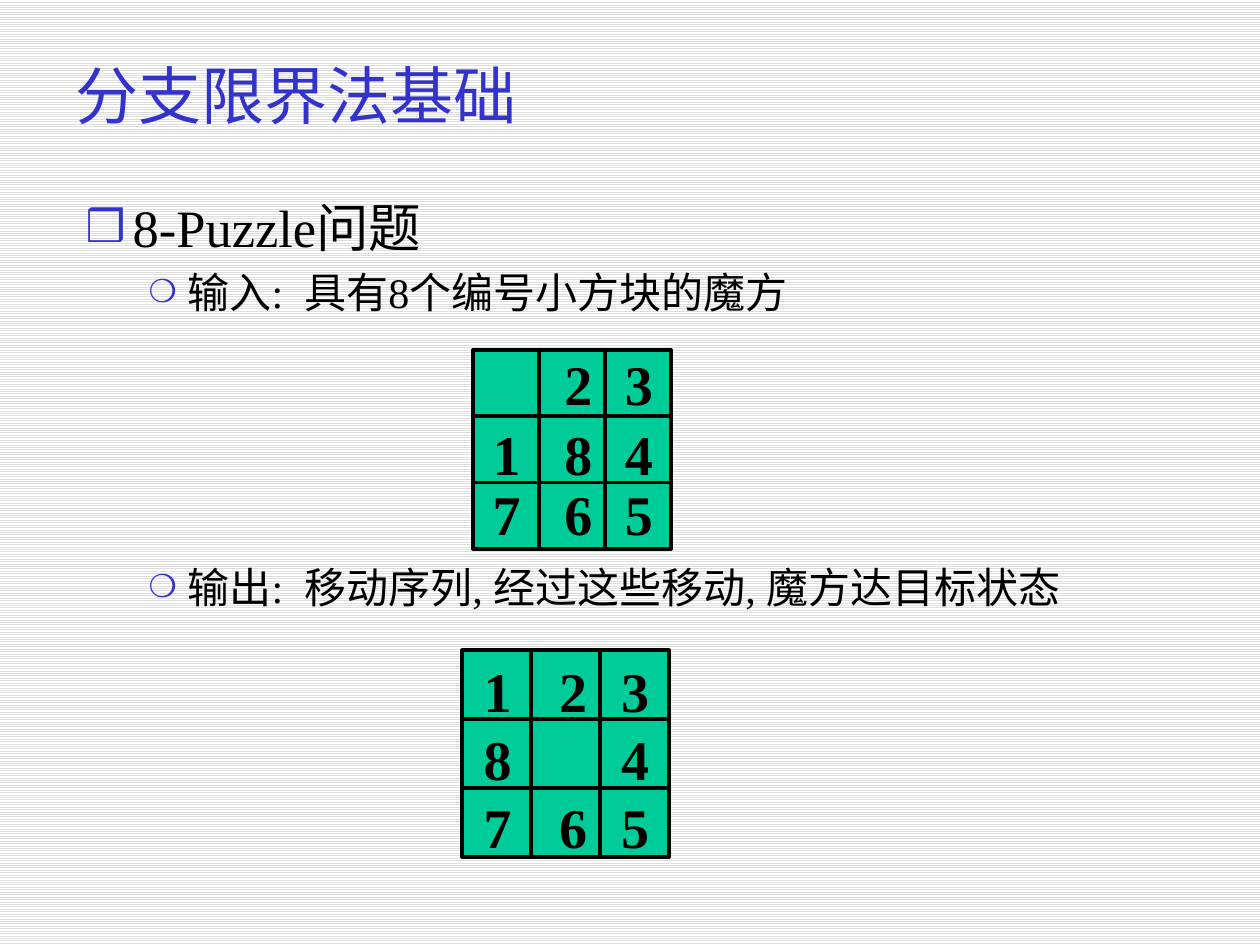
from lxml.etree import SubElement
from pptx import Presentation
from pptx.dml.color import RGBColor
from pptx.enum.dml import MSO_PATTERN
from pptx.enum.shapes import MSO_CONNECTOR, MSO_SHAPE
from pptx.enum.text import MSO_ANCHOR, MSO_AUTO_SIZE, PP_ALIGN
from pptx.oxml.ns import qn
from pptx.util import Cm, Pt

BLUE = RGBColor(0x33, 0x33, 0xCC)
GREEN = RGBColor(0x00, 0xCC, 0x99)
BLACK = RGBColor(0x00, 0x00, 0x00)
WHITE = RGBColor(0xFF, 0xFF, 0xFF)
STRIPE = RGBColor(0xDD, 0xDD, 0xDD)


class PuzzleSlide:
    font_name = "Times New Roman"
    line_width = Pt(2.25)

    def __init__(self, presentation):
        self.slide = presentation.slides.add_slide(presentation.slide_layouts[1])
        fill = self.slide.background.fill
        fill.patterned()
        fill.pattern = MSO_PATTERN.LIGHT_HORIZONTAL
        fill.fore_color.rgb = STRIPE
        fill.back_color.rgb = WHITE

    def place(self, shape, left, top, width, height):
        shape.left, shape.top = Cm(left), Cm(top)
        shape.width, shape.height = Cm(width), Cm(height)
        shape.text_frame.auto_size = MSO_AUTO_SIZE.NONE

    def style(self, paragraph, size, color=BLACK, bold=False):
        for run in paragraph.runs:
            run.font.name = self.font_name
            run.font.size = Pt(size)
            run.font.bold = bold
            run.font.color.rgb = color

    def title(self, text):
        title = self.slide.shapes.title
        self.place(title, 1.27, 0.64, 21.59, 2.54)
        title.text_frame.text = text
        title.text_frame.vertical_anchor = MSO_ANCHOR.MIDDLE
        paragraph = title.text_frame.paragraphs[0]
        paragraph.alignment = PP_ALIGN.LEFT
        self.style(paragraph, 36, BLUE)

    def bullet(self, paragraph, symbol, percent, margin, hanging):
        properties = paragraph._p.get_or_add_pPr()
        properties.set("marL", str(Cm(margin)))
        properties.set("indent", str(-Cm(hanging)))
        color = SubElement(properties, qn("a:buClr"))
        SubElement(color, qn("a:srgbClr"), val=str(BLUE))
        SubElement(properties, qn("a:buSzPct"), val=str(percent * 1000))
        SubElement(properties, qn("a:buChar"), char=symbol)

    def body(self, heading, details):
        body = self.slide.placeholders[1]
        self.place(body, 1.47, 3.81, 21.59, 13.54)
        frame = body.text_frame
        frame.vertical_anchor = MSO_ANCHOR.TOP
        frame.text = heading
        first = frame.paragraphs[0]
        self.bullet(first, "❒", 85, 0.95, 0.95)
        first.space_before = Pt(0)
        self.style(first, 30)
        for text, space in details:
            paragraph = frame.add_paragraph()
            paragraph.text = text
            paragraph.level = 1
            self.bullet(paragraph, "❍", 75, 2.06, 0.79)
            paragraph.space_before = Pt(space)
            self.style(paragraph, 24)

    def line(self, shapes, x1, y1, x2, y2):
        line = shapes.add_connector(
            MSO_CONNECTOR.STRAIGHT, Cm(x1), Cm(y1), Cm(x2), Cm(y2))
        line.line.color.rgb = BLACK
        line.line.width = self.line_width
        SubElement(line._element.spPr, qn("a:effectLst"))

    def digit(self, shapes, text, left, top):
        box = shapes.add_textbox(Cm(left), Cm(top), Cm(1.08), Cm(1.62))
        box.text_frame.word_wrap = False
        box.text_frame.text = text
        self.style(box.text_frame.paragraphs[0], 32, bold=True)

    def puzzle(self, left, top, size, rows, column_offsets, row_offsets):
        shapes = self.slide.shapes.add_group_shape().shapes
        board = shapes.add_shape(
            MSO_SHAPE.RECTANGLE, Cm(left), Cm(top), Cm(size), Cm(size))
        board.shadow.inherit = False
        board.fill.solid()
        board.fill.fore_color.rgb = GREEN
        board.line.color.rgb = BLACK
        board.line.width = self.line_width
        for step in (size / 3, size * 2 / 3):
            self.line(shapes, left, top + step, left + size, top + step)
            self.line(shapes, left + step, top, left + step, top + size)
        for row, y in zip(rows, row_offsets):
            for text, x in zip(row, column_offsets):
                if text != " ":
                    self.digit(shapes, text, left + x, top + y)


def main():
    presentation = Presentation()
    presentation.slide_width = Cm(25.4)
    presentation.slide_height = Cm(19.05)
    slide = PuzzleSlide(presentation)
    slide.title("分支限界法基础")
    slide.body("8-Puzzle问题", [
        ("输入:  具有8个编号小方块的魔方", 4.8),
        ("输出:  移动序列, 经过这些移动, 魔方达目标状态", 139.5),
    ])
    slide.puzzle(9.32, 13.11, 4.16, ["123", "8 4", "765"],
                 (0.18, 1.7, 2.95), (0, 1.37, 2.74))
    slide.puzzle(9.53, 7.06, 4, [" 23", "184", "765"],
                 (0.15, 1.6, 2.82), (-0.13, 1.28, 2.49))
    presentation.save("out.pptx")


if __name__ == "__main__":
    main()
